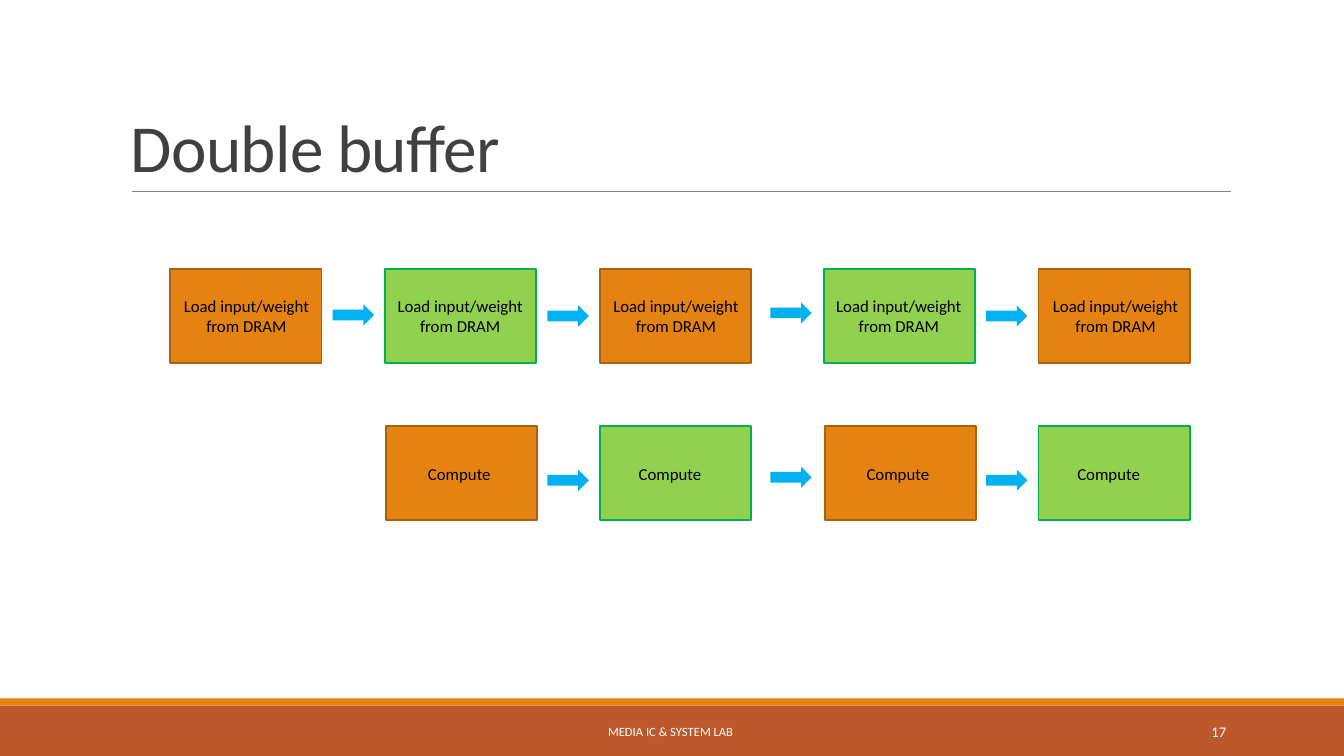
from dataclasses import dataclass

from lxml.etree import SubElement
from pptx import Presentation
from pptx.dml.color import RGBColor
from pptx.enum.shapes import MSO_CONNECTOR as Connector, MSO_SHAPE as Shape
from pptx.enum.text import MSO_ANCHOR as Anchor, PP_ALIGN as Align
from pptx.oxml.ns import qn
from pptx.util import Inches, Pt


@dataclass(frozen=True)
class Theme:
    """Colours, font and type sizes of the slide."""
    font: str = "Calibri"
    title_size: float = 48
    label_size: float = 12
    footer_size: float = 9
    number_size: float = 10.5
    title: str = "404040"
    text: str = "000000"
    white: str = "FFFFFF"
    rule: str = "808080"
    footer: str = "BD582C"
    orange: str = "E48312"
    orange_line: str = "A9610D"
    green: str = "92D050"
    green_line: str = "00B050"
    arrow: str = "00B0F0"


THEME = Theme()
ORANGE = (THEME.orange, THEME.orange_line)
GREEN = (THEME.green, THEME.green_line)
BOX_SIZE = (1.5, 0.93)
ARROW_SIZE = (0.41, 0.21)
LABEL_WIDTH = 1.73

LOAD_STAGES = [(1.69, 1.58, ORANGE), (3.82, 3.7, GREEN), (5.95, 5.84, ORANGE),
               (8.17, 8.05, GREEN), (10.3, 10.2, ORANGE)]
COMPUTE_STAGES = [(3.83, 3.71, ORANGE), (5.95, 5.8, GREEN),
                  (8.18, 8.06, ORANGE), (10.3, 10.15, GREEN)]
LOAD_ARROWS = [(3.3, 3.02), (5.43, 3.03), (7.64, 3), (9.78, 3.03)]
COMPUTE_ARROWS = [(5.43, 4.66), (7.64, 4.63), (9.78, 4.66)]


def add_block(slide, kind, left, top, width, height, fill, line=None):
    """Add a filled preset shape, outlined when a line colour is given."""
    shape = slide.shapes.add_shape(
        kind, Inches(left), Inches(top), Inches(width), Inches(height))
    shape.shadow.inherit = False
    shape.fill.solid()
    shape.fill.fore_color.rgb = RGBColor.from_string(fill)
    if line:
        shape.line.color.rgb = RGBColor.from_string(line)
        shape.line.width = Pt(1.25)
    else:
        shape.line.fill.background()


def add_text(slide, text, left, top, width, height, size, color,
             align=Align.CENTER, anchor=Anchor.TOP):
    """Add a wrapped one-paragraph text box and return its paragraph."""
    box = slide.shapes.add_textbox(
        Inches(left), Inches(top), Inches(width), Inches(height))
    frame = box.text_frame
    frame.word_wrap = True
    frame.vertical_anchor = anchor
    paragraph = frame.paragraphs[0]
    paragraph.text = text
    paragraph.alignment = align
    paragraph.font.name = THEME.font
    paragraph.font.size = Pt(size)
    paragraph.font.color.rgb = RGBColor.from_string(color)
    return paragraph


def add_title(slide, text):
    """Add the tightly spaced title and the rule below it."""
    paragraph = add_text(slide, text, 1.2, 0.31, 11, 1.59, THEME.title_size,
                         THEME.title, Align.LEFT, Anchor.BOTTOM)
    paragraph.line_spacing = 0.85
    paragraph.runs[0].font._element.set("spc", "-50")
    rule = slide.shapes.add_connector(
        Connector.STRAIGHT, Inches(1.31), Inches(1.9), Inches(12.21), Inches(1.9))
    rule.line.color.rgb = RGBColor.from_string(THEME.rule)
    rule.line.width = Pt(0.5)
    SubElement(rule._element.spPr, qn("a:effectLst"))


def add_footer(slide, text, number):
    """Add the two footer bands with the lab name and slide number."""
    add_block(slide, Shape.RECTANGLE, 0, 7, 13.33, 0.5, THEME.footer)
    add_block(slide, Shape.RECTANGLE, 0, 6.93, 13.33, 0.07, THEME.orange)
    add_text(slide, text, 4.03, 7.06, 5.27, 0.4, THEME.footer_size,
             THEME.white, anchor=Anchor.MIDDLE)
    add_text(slide, number, 10.83, 7.06, 1.43, 0.4, THEME.number_size,
             THEME.white, Align.RIGHT, Anchor.MIDDLE)


def add_pipeline(slide, text, stages, arrows, box_top, label_top, label_height):
    """Add one row of labelled stages and the arrows between them."""
    for box_left, label_left, (fill, line) in stages:
        add_block(slide, Shape.RECTANGLE, box_left, box_top, *BOX_SIZE, fill, line)
        add_text(slide, text, label_left, label_top, LABEL_WIDTH, label_height,
                 THEME.label_size, THEME.text)
    for left, top in arrows:
        add_block(slide, Shape.RIGHT_ARROW, left, top, *ARROW_SIZE, THEME.arrow)


def main():
    """Build and save the slide."""
    presentation = Presentation()
    presentation.slide_width = Inches(13.33)
    presentation.slide_height = Inches(7.5)
    slide = presentation.slides.add_slide(presentation.slide_layouts[6])
    add_footer(slide, "MEDIA IC & SYSTEM LAB ", "17")
    add_title(slide, "Double buffer")
    add_pipeline(slide, "Load input/weight from DRAM", LOAD_STAGES, LOAD_ARROWS,
                 2.67, 2.88, 0.5)
    add_pipeline(slide, "Compute ", COMPUTE_STAGES, COMPUTE_ARROWS,
                 4.23, 4.55, 0.3)
    presentation.save("out.pptx")


if __name__ == "__main__":
    main()
